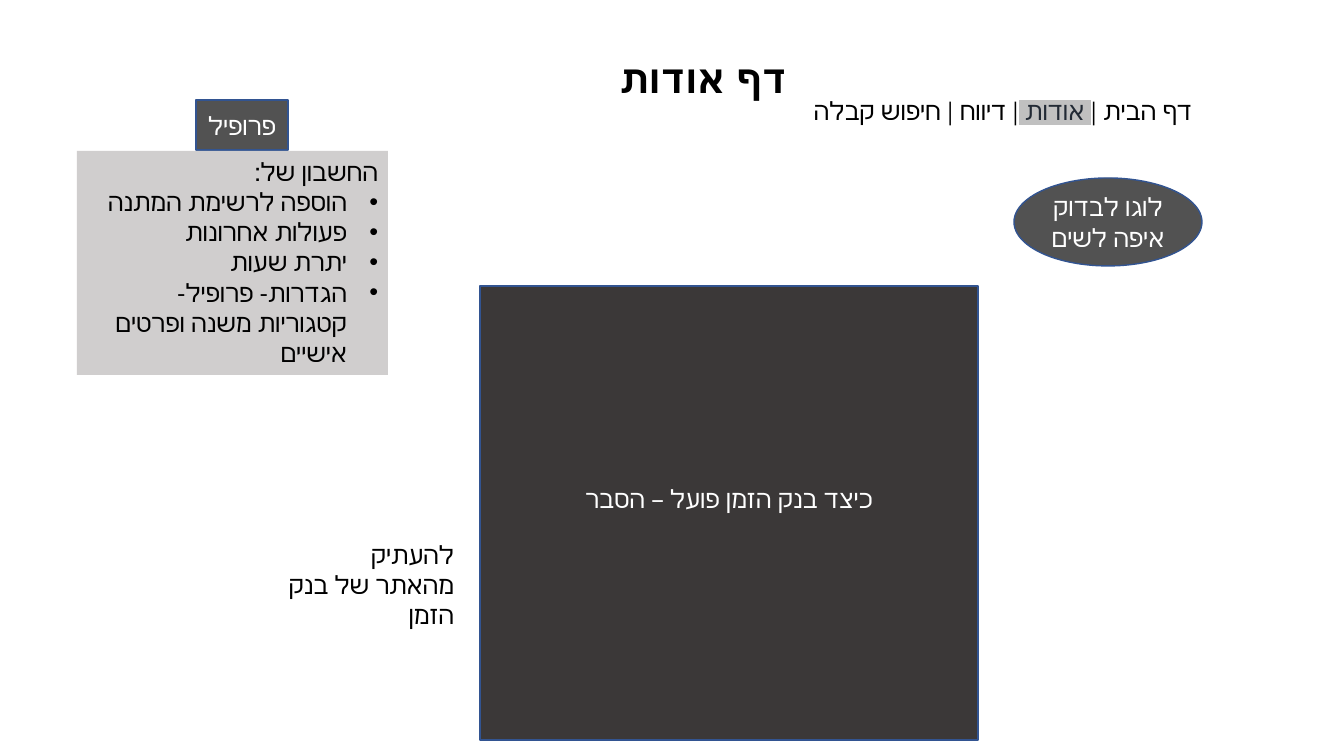
import pptx
import pptx.dml.color
import pptx.enum.shapes
import pptx.enum.text
import pptx.oxml.ns
import pptx.util
import lxml.etree

SHAPES = pptx.enum.shapes.MSO_SHAPE
ALIGN = pptx.enum.text.PP_ALIGN
ANCHOR = pptx.enum.text.MSO_ANCHOR
AUTO_SIZE = pptx.enum.text.MSO_AUTO_SIZE


def color(value):
    return pptx.dml.color.RGBColor.from_string(value)


def add_xml(parent, tag, **attributes):
    return lxml.etree.SubElement(parent, pptx.oxml.ns.qn(tag), attributes)


class Wireframe:
    """Draws the elements of a right-to-left page sketch on one slide."""

    scale = 12192000 / 1344
    font = "Calibri"
    text_size = 18
    dark = "525252"
    outline = "325491"

    def __init__(self, slide):
        self.slide = slide

    def box(self, *lengths):
        return [round(length * self.scale) for length in lengths]

    def format_paragraph(self, paragraph, text_color, align, size, bold=False):
        paragraph.alignment = align
        paragraph._p.get_or_add_pPr().set("rtl", "1")
        for font in [paragraph.font] + [run.font for run in paragraph.runs]:
            font.name = self.font
            font.size = pptx.util.Pt(size)
            font.bold = bold
            font.color.rgb = color(text_color)

    def set_text(self, shape, lines, text_color="000000", align=ALIGN.RIGHT,
                 anchor=ANCHOR.TOP, size=text_size, bold=False):
        frame = shape.text_frame
        frame.word_wrap = True
        frame.vertical_anchor = anchor
        frame.text = "\n".join(lines)
        for paragraph in frame.paragraphs:
            self.format_paragraph(paragraph, text_color, align, size, bold)

    def title(self, text, *lengths):
        shape = self.slide.shapes.title
        shape.left, shape.top, shape.width, shape.height = self.box(*lengths)
        self.set_text(shape, [text], size=28, bold=True)
        shape.text_frame.auto_size = AUTO_SIZE.SHAPE_TO_FIT_TEXT

    def label(self, text, *lengths):
        shape = self.slide.shapes.add_textbox(*self.box(*lengths))
        self.set_text(shape, [text])
        shape.text_frame.auto_size = AUTO_SIZE.SHAPE_TO_FIT_TEXT
        return shape

    def navigation(self, before, current, after, *lengths):
        paragraph = self.label(before, *lengths).text_frame.paragraphs[0]
        marked = paragraph.add_run()
        marked.text = current
        paragraph.add_run().text = after
        self.format_paragraph(paragraph, "000000", ALIGN.RIGHT, self.text_size)
        marked.font.color.rgb = color("222A35")
        properties = marked.font._element
        highlight = add_xml(properties, "a:highlight")
        add_xml(highlight, "a:srgbClr", val="C0C0C0")
        properties.find(pptx.oxml.ns.qn("a:solidFill")).addnext(highlight)

    def shape(self, kind, fill, *lengths):
        shape = self.slide.shapes.add_shape(kind, *self.box(*lengths))
        shape.shadow.inherit = False
        shape.fill.solid()
        shape.fill.fore_color.rgb = color(fill)
        return shape

    def block(self, kind, text, *lengths, fill=dark, lift=0):
        shape = self.shape(kind, fill, *lengths)
        shape.line.color.rgb = color(self.outline)
        shape.line.width = pptx.util.Pt(1)
        self.set_text(shape, [text], "FFFFFF", ALIGN.CENTER, ANCHOR.MIDDLE)
        shape.text_frame.margin_bottom += self.box(lift)[0]

    def menu(self, heading, items, *lengths):
        shape = self.shape(SHAPES.RECTANGLE, "D0CECE", *lengths)
        shape.line.fill.background()
        self.set_text(shape, [heading] + items)
        indent = self.box(31)[0]
        for paragraph in shape.text_frame.paragraphs[1:]:
            properties = paragraph._p.get_or_add_pPr()
            properties.set("marL", str(indent))
            properties.set("indent", str(-indent))
            default_font = properties.find(pptx.oxml.ns.qn("a:defRPr"))
            default_font.addprevious(add_xml(properties, "a:buFont", typeface="Arial"))
            default_font.addprevious(add_xml(properties, "a:buChar", char="•"))


def main():
    presentation = pptx.Presentation()
    presentation.slide_width = pptx.util.Emu(12192000)
    presentation.slide_height = pptx.util.Emu(6858000)
    page = Wireframe(presentation.slides.add_slide(presentation.slide_layouts[5]))

    page.title("דף אודות", 344, 49, 453, 57)
    page.navigation("דף הבית |", " אודות ", "| דיווח | חיפוש קבלה ",
                    749, 90, 453, 40)
    page.block(SHAPES.OVAL, "לוגו לבדוק איפה לשים", 1014, 178, 188, 88)
    page.block(SHAPES.RECTANGLE, "פרופיל", 196, 100, 92, 50)
    page.menu("החשבון של:", [
        "הוספה לרשימת המתנה",
        "פעולות אחרונות",
        "יתרת שעות",
        "הגדרות- פרופיל- קטגוריות משנה ופרטים אישיים",
    ], 77, 151, 311, 224)
    page.block(SHAPES.RECTANGLE, "כיצד בנק הזמן פועל – הסבר",
               480, 286, 498, 454, fill="3B3838", lift=30)
    page.label("להעתיק מהאתר של בנק הזמן", 277, 534, 187, 72)

    presentation.save("out.pptx")


if __name__ == "__main__":
    main()
